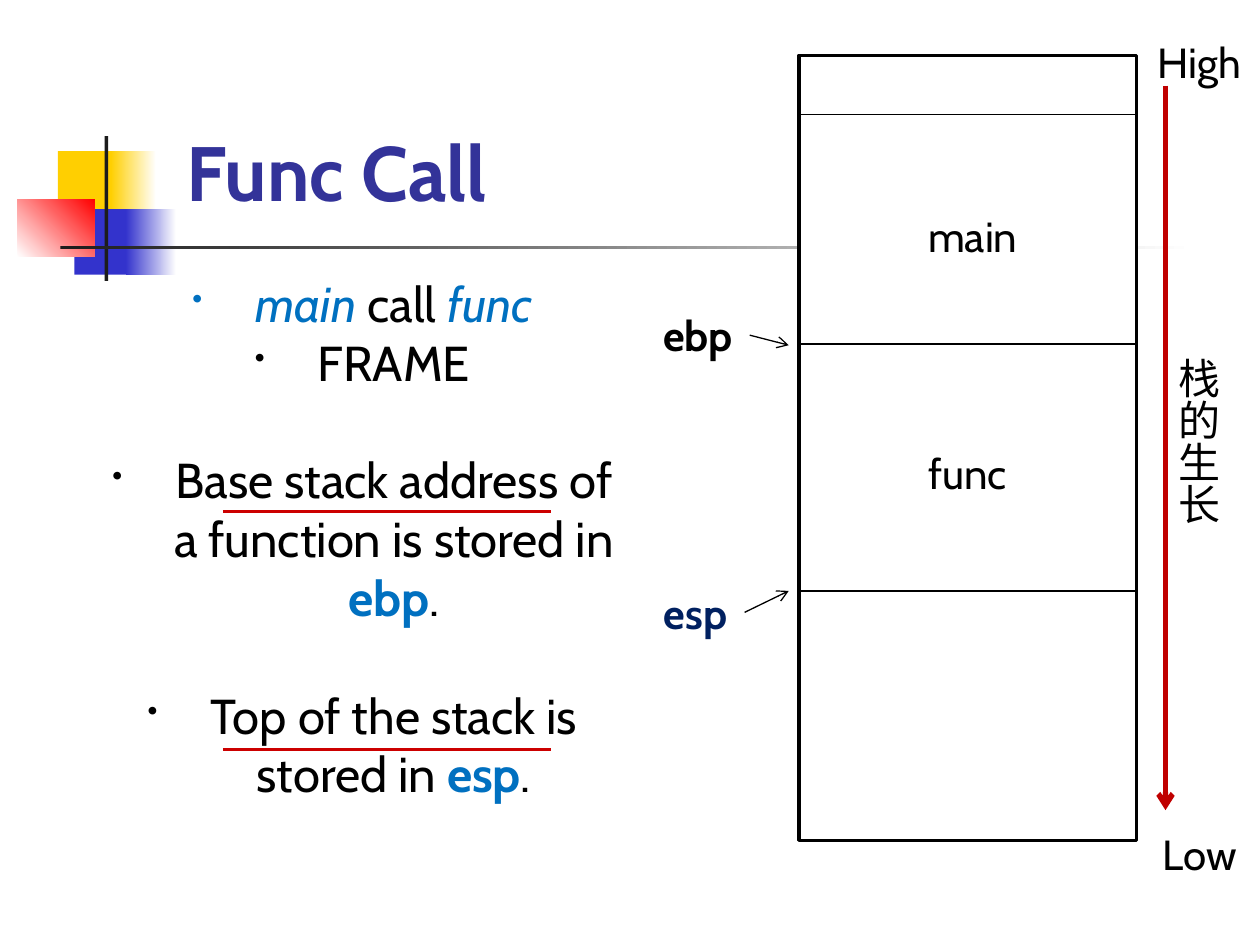
from dataclasses import dataclass

from lxml import etree
from pptx import Presentation
from pptx.dml.color import RGBColor
from pptx.enum.shapes import MSO_CONNECTOR, MSO_SHAPE
from pptx.enum.text import MSO_ANCHOR, MSO_AUTO_SIZE, PP_ALIGN
from pptx.oxml.ns import qn
from pptx.util import Inches, Pt

RECT = MSO_SHAPE.RECTANGLE
STRAIGHT = MSO_CONNECTOR.STRAIGHT
BOTTOM = MSO_ANCHOR.BOTTOM
FIT_SHAPE, NO_FIT = MSO_AUTO_SIZE.SHAPE_TO_FIT_TEXT, MSO_AUTO_SIZE.NONE
LEFT, CENTER = PP_ALIGN.LEFT, PP_ALIGN.CENTER


@dataclass(frozen=True)
class Theme:
    font: str = "Cabin"
    title_size: int = 44
    body_size: int = 28
    label_size: int = 24
    text: str = "000000"
    title: str = "333399"
    accent: str = "0070C0"
    navy: str = "002060"
    underline: str = "CC0000"
    growth: str = "C00000"
    paper: str = "FFFFFF"
    yellow: str = "FFCF01"
    blue: str = "3333CC"
    red: str = "FF0000"
    bar: str = "1C1C1C"


THEME = Theme()
STACK_X, STACK_W = 6.34, 2.68
STACK_ROWS = (0.44, 0.91, 2.73, 4.69, 6.67)
LABEL_H = 0.5


def rgb(value):
    return RGBColor.from_string(value)


def style(font, size, color=THEME.text, bold=False, italic=False):
    font.name, font.size = THEME.font, Pt(size)
    font.bold, font.italic = bold, italic
    font.color.rgb = rgb(color)


def add_rect(s, box, color, fade_to=None, angle=0):
    """Add a borderless rectangle, fading to a second colour if one is given."""
    sp = s.shapes.add_shape(RECT, *map(Inches, box))
    sp.shadow.inherit = False
    sp.line.fill.background()
    if fade_to is None:
        sp.fill.solid()
        sp.fill.fore_color.rgb = rgb(color)
    else:
        sp.fill.gradient()
        sp.fill.gradient_angle = angle
        for stop, value in zip(sp.fill.gradient_stops, (color, fade_to)):
            stop.color.rgb = rgb(value)
    return sp


def add_line(s, start, end, color=THEME.text, width=0.75, arrow=False):
    line = s.shapes.add_connector(STRAIGHT, *map(Inches, (*start, *end)))
    line.line.color.rgb = rgb(color)
    line.line.width = Pt(width)
    if arrow:
        etree.SubElement(line.line._get_or_add_ln(), qn("a:tailEnd"), type="arrow")
    etree.SubElement(line._element.spPr, qn("a:effectLst"))


def add_label(s, text, center, width, height=LABEL_H, color=THEME.text,
              bold=False, vertical=False):
    x, y = center
    box = (x - width / 2, y - height / 2, width, height)
    tf = s.shapes.add_textbox(*map(Inches, box)).text_frame
    tf.word_wrap = False
    tf.auto_size = FIT_SHAPE
    if vertical:
        tf._txBody.bodyPr.set("vert", "eaVert")
        tf.margin_left = tf.margin_right = Inches(0.05)
        tf.margin_top = tf.margin_bottom = Inches(0.1)
    tf.text = text
    p = tf.paragraphs[0]
    p.alignment = CENTER
    style(p.runs[0].font, THEME.label_size, color, bold)


def add_bullet(p, color):
    pPr = p._p.get_or_add_pPr()
    pPr.set("marL", str(Inches(0.5)))
    pPr.set("indent", str(-Inches(0.5)))
    bu_color = etree.SubElement(pPr, qn("a:buClr"))
    etree.SubElement(bu_color, qn("a:srgbClr"), val=color)
    etree.SubElement(pPr, qn("a:buSzPct"), val="60000")
    etree.SubElement(pPr, qn("a:buChar"), char="•")


def add_bullets(s, box, items):
    """Each item is (starts a new group, bullet colour, [(text, font options)])."""
    tf = s.shapes.add_textbox(*map(Inches, box)).text_frame
    tf.word_wrap = True
    for i, (new_group, bullet_color, runs) in enumerate(items):
        p = tf.add_paragraph() if i else tf.paragraphs[0]
        add_bullet(p, bullet_color)
        p.alignment = CENTER
        if new_group:
            p.space_before = Pt(THEME.body_size * 1.2)
        for text, options in runs:
            r = p.add_run()
            r.text = text
            style(r.font, THEME.body_size, **options)


def add_ornament(s):
    t = THEME
    add_rect(s, (0.46, 1.2, 0.48, 0.52), t.yellow)
    add_rect(s, (0.88, 1.2, 0.36, 0.52), t.yellow, t.paper)
    add_rect(s, (0.59, 1.66, 0.46, 0.52), t.blue)
    add_rect(s, (1, 1.66, 0.4, 0.52), t.blue, t.paper)
    add_rect(s, (0.14, 1.58, 0.61, 0.46), t.paper, t.red, angle=45)
    add_rect(s, (0.83, 1.08, 0.03, 1.15), t.bar)
    add_rect(s, (0.48, 1.95, 9, 0.03), t.bar, t.paper)


def set_title(s, text):
    sp = s.shapes.title
    sp.left, sp.top, sp.width, sp.height = map(Inches, (1.38, 0.52, 3.23, 1.25))
    tf = sp.text_frame
    tf.text = text
    tf.auto_size = NO_FIT
    tf.vertical_anchor = BOTTOM
    p = tf.paragraphs[0]
    p.alignment = LEFT
    style(p.runs[0].font, THEME.title_size, THEME.title, bold=True)


def add_stack(s):
    top, *dividers, bottom = STACK_ROWS
    frame = add_rect(s, (STACK_X, top, STACK_W, bottom - top), THEME.paper)
    frame.line.color.rgb = rgb(THEME.text)
    frame.line.width = Pt(2)
    for y in dividers:
        add_line(s, (STACK_X, y), (STACK_X + STACK_W, y))
    middle = STACK_X + STACK_W / 2
    add_label(s, "main", (middle + 0.04, 1.87), 0.99)
    add_label(s, "func", (middle, 3.75), 0.88)


def add_registers(s):
    tip_x = STACK_X - 0.08
    add_label(s, "ebp", (5.54, 2.66), 0.82, bold=True)
    add_line(s, (5.95, 2.66), (tip_x, 2.74), arrow=True)
    add_label(s, "esp", (5.52, 4.86), 0.77, color=THEME.navy, bold=True)
    add_line(s, (5.91, 4.86), (tip_x, 4.69), arrow=True)


def add_growth(s):
    add_label(s, "High", (9.52, 0.49), 0.94)
    add_label(s, "栈的生长", (9.46, 3.46), 0.6, 1.44, vertical=True)
    add_label(s, "Low", (9.52, 6.78), 0.84)
    add_line(s, (9.25, 0.68), (9.25, 6.43), THEME.growth, 3, arrow=True)


def main():
    prs = Presentation()
    prs.slide_width, prs.slide_height = Inches(10), Inches(7.5)
    s = prs.slides.add_slide(prs.slide_layouts[5])
    add_ornament(s)
    set_title(s, "Func Call")
    add_stack(s)
    add_registers(s)

    call = {"color": THEME.accent, "italic": True}
    register = {"color": THEME.accent, "bold": True}
    add_bullets(s, (0.73, 2.12, 4.29, 4.77), [
        (False, THEME.accent, [("main", call), (" call ", {}), ("func", call)]),
        (False, THEME.text, [("FRAME", {})]),
        (True, THEME.text, [("Base stack address of a function is stored in ", {}),
                            ("ebp", register), (".", {})]),
        (True, THEME.text, [("Top of the stack is stored in ", {}),
                            ("esp", register), (".", {})]),
    ])
    for y in (4.06, 5.95):
        add_line(s, (1.77, y), (4.37, y), THEME.underline, 2)
    add_growth(s)
    prs.save("out.pptx")


if __name__ == "__main__":
    main()
